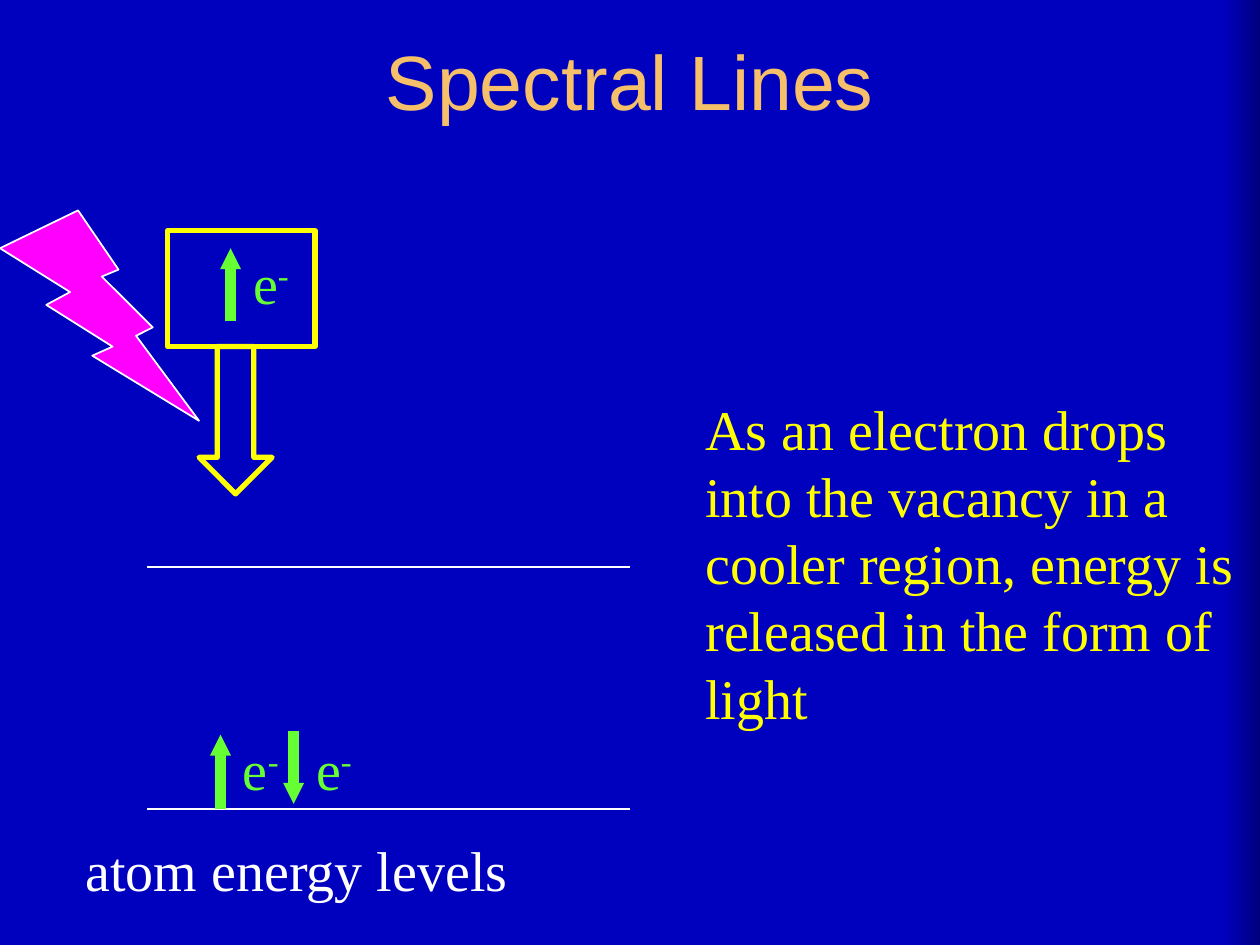
from pptx import Presentation
from pptx.dml.color import RGBColor
from pptx.enum.shapes import MSO_CONNECTOR, MSO_SHAPE
from pptx.enum.text import MSO_ANCHOR, PP_ALIGN
from pptx.oxml.ns import qn
from pptx.util import Inches, Pt
from lxml import etree

GREEN, YELLOW, WHITE = "66FF33", "FFFF00", "FFFFFF"


def color(code):
    return RGBColor.from_string(code)


def add_text(slide, text, x, y, w, h, size=32, font="Times New Roman",
             fill=WHITE, align=PP_ALIGN.LEFT, anchor=MSO_ANCHOR.TOP, sup=""):
    """Add a text box; sup is a superscript that follows the text."""
    box = slide.shapes.add_textbox(Inches(x), Inches(y), Inches(w), Inches(h))
    frame = box.text_frame
    frame.word_wrap = True
    frame.vertical_anchor = anchor
    para = frame.paragraphs[0]
    para.alignment = align
    for part in filter(None, (text, sup)):
        run = para.add_run()
        run.text = part
        run.font.size = Pt(size)
        run.font.name = font
        run.font.color.rgb = color(fill)
    if sup:
        run.font._element.set("baseline", "30000")


def add_line(slide, x1, y1, x2, y2, stroke=WHITE, width=1, arrow=False):
    line = slide.shapes.add_connector(
        MSO_CONNECTOR.STRAIGHT, Inches(x1), Inches(y1), Inches(x2), Inches(y2))
    line.line.color.rgb = color(stroke)
    line.line.width = Pt(width)
    if arrow:
        etree.SubElement(line.line._get_or_add_ln(), qn("a:tailEnd"),
                         type="triangle", w="sm", len="sm")
    etree.SubElement(line._element.spPr, qn("a:effectLst"))


def add_shape(slide, kind, x, y, w, h, stroke, width, fill=None):
    shape = slide.shapes.add_shape(
        kind, Inches(x), Inches(y), Inches(w), Inches(h))
    shape.shadow.inherit = False
    if fill:
        shape.fill.solid()
        shape.fill.fore_color.rgb = color(fill)
    else:
        shape.fill.background()
    shape.line.color.rgb = color(stroke)
    shape.line.width = Pt(width)


def add_spin(slide, x, start, end, top):
    """Add an electron: a spin arrow with its label to the right."""
    add_line(slide, x, start, x, end, GREEN, 6, arrow=True)
    add_text(slide, "e", x + 0.08, top, 0.75, 0.63, fill=GREEN, sup="-")


def set_back(slide):
    fill = slide.background.fill
    fill.gradient()
    fill.gradient_angle = 0
    stops = ((0.97, "0000BF"), (1, "00007F"))
    for stop, (place, code) in zip(fill.gradient_stops, stops):
        stop.position = place
        stop.color.rgb = color(code)


def main():
    deck = Presentation()
    deck.slide_width, deck.slide_height = Inches(10), Inches(7.5)
    slide = deck.slides.add_slide(deck.slide_layouts[6])
    set_back(slide)

    add_text(slide, "Spectral Lines", 0.75, 0.01, 8.5, 1.25, size=44,
             font="Arial", fill="F6BF69", align=PP_ALIGN.CENTER,
             anchor=MSO_ANCHOR.MIDDLE)
    for level in (6.42, 4.5):
        add_line(slide, 1.17, level, 5, level)
    add_text(slide, "atom energy levels", 0.58, 6.58, 4.92, 0.63)
    add_text(slide, "As an electron drops into the vacancy in a cooler region, "
             "energy is released in the form of light",
             5.5, 3.08, 4.5, 2.77, fill=YELLOW)

    add_spin(slide, 1.75, 6.42, 5.83, 5.78)
    add_spin(slide, 2.33, 5.8, 6.38, 5.78)
    add_shape(slide, MSO_SHAPE.LIGHTNING_BOLT, 0, 1.67, 1.58, 1.67,
              WHITE, 1, fill="FF00FF")
    add_spin(slide, 1.83, 2.55, 1.97, 1.92)
    add_shape(slide, MSO_SHAPE.RECTANGLE, 1.33, 1.83, 1.17, 0.92, YELLOW, 3)
    add_shape(slide, MSO_SHAPE.DOWN_ARROW, 1.58, 2.75, 0.58, 1.17, YELLOW, 3)
    deck.save("out.pptx")


if __name__ == "__main__":
    main()
